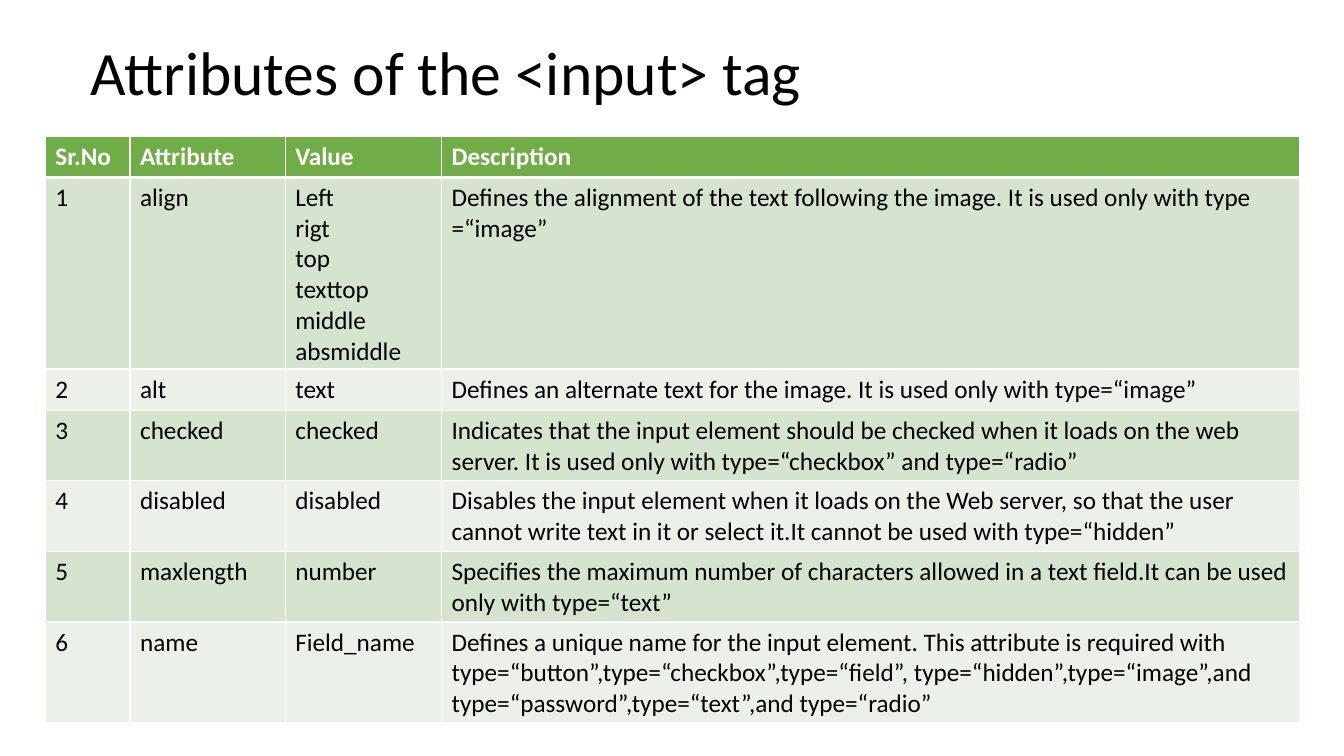
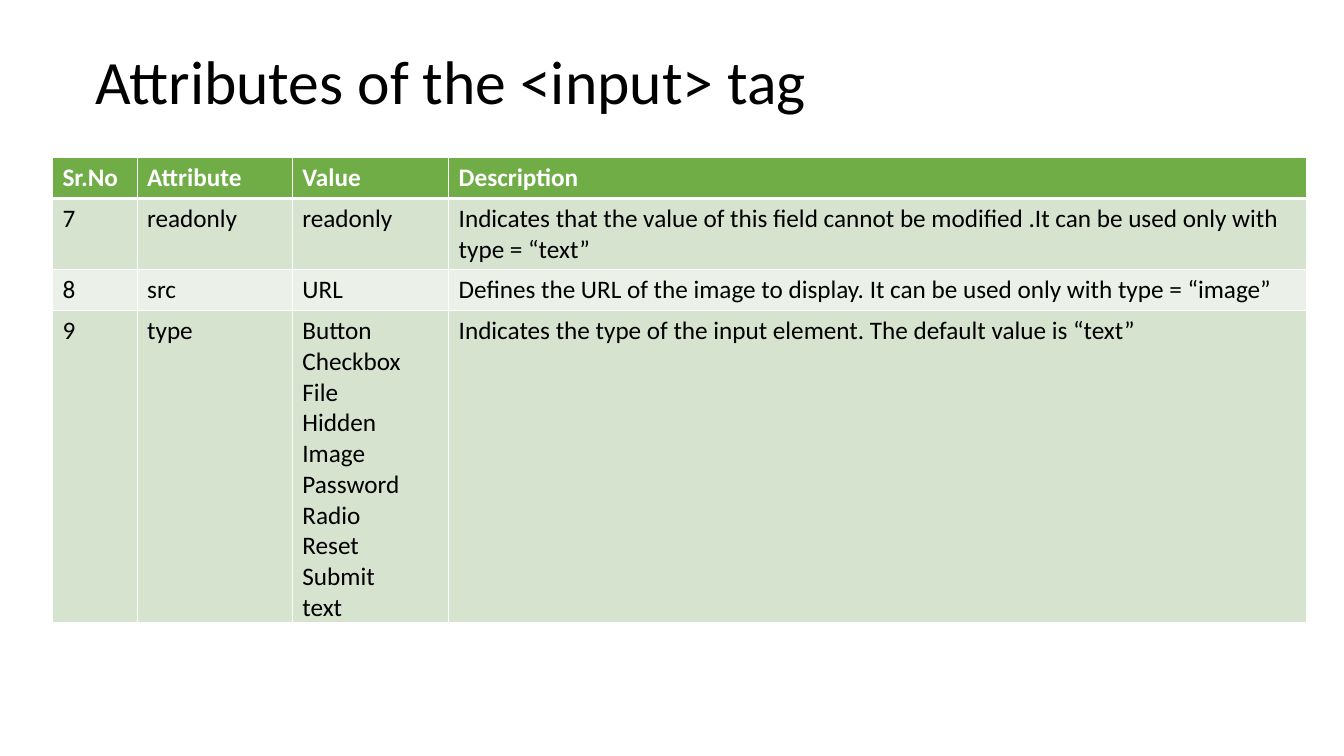
"""Build two slides listing the attributes of the HTML input tag."""
import dataclasses
import typing

import lxml.etree
import pptx
import pptx.dml.color
import pptx.enum.text
import pptx.oxml.ns
import pptx.slide
import pptx.table
import pptx.text.text
import pptx.util

Inches = pptx.util.Inches
Color = pptx.dml.color.RGBColor


@dataclasses.dataclass(frozen=True)
class Theme:
    font: str = "Calibri"
    title_size: int = 44
    table_size: int = 18
    ink: str = "000000"
    paper: str = "FFFFFF"
    header: str = "70AD47"
    bands: tuple[str, str] = ("D5E3CF", "EBF1E9")
    thin_line: int = 1
    thick_line: int = 3


@dataclasses.dataclass(frozen=True)
class Attribute:
    number: str
    name: str
    values: str
    description: str


@dataclasses.dataclass(frozen=True)
class Page:
    title_at: tuple[float, float]
    table_at: tuple[float, float]
    attributes: tuple[Attribute, ...]


THEME = Theme()
TITLE = "Attributes of the <input> tag"
TITLE_SIZE = (11.5, 0.88)
COLUMN_WIDTHS = (0.84, 1.54, 1.55, 8.51)
ROW_HEIGHT = 0.41
HEADINGS = Attribute("Sr.No", "Attribute", "Value", "Description")

PAGES = (
    Page((0.8, 0.31), (0.45, 1.35), (
        Attribute("1", "align", "Left\nrigt\ntop\ntexttop\nmiddle\nabsmiddle",
                  "Defines the alignment of the text following the image. "
                  "It is used only with type =“image”"),
        Attribute("2", "alt", "text",
                  "Defines an alternate text for the image. "
                  "It is used only with type=“image”"),
        Attribute("3", "checked", "checked",
                  "Indicates that the input element should be checked when it loads "
                  "on the web server. It is used only with type=“checkbox” and type=“radio”"),
        Attribute("4", "disabled", "disabled",
                  "Disables the input element when it loads on the Web server, so that "
                  "the user cannot write text in it or select it."
                  "It cannot be used with type=“hidden”"),
        Attribute("5", "maxlength", "number",
                  "Specifies the maximum number of characters allowed in a text field."
                  "It can be used only with type=“text”"),
        Attribute("6", "name", "Field_name",
                  "Defines a unique name for the input element. This attribute is "
                  "required with type=“button”,type=“checkbox”,type=“field”, "
                  "type=“hidden”,type=“image”,and type=“password”,type=“text”,"
                  "and type=“radio”"),
    )),
    Page((0.85, 0.4), (0.52, 1.56), (
        Attribute("7", "readonly", "readonly",
                  "Indicates that the value of this field cannot be modified ."
                  "It can be used only with type = “text”"),
        Attribute("8", "src", "URL",
                  "Defines the URL of the image to display. "
                  "It can be used only with type = “image”"),
        Attribute("9", "type",
                  "Button\nCheckbox\nFile\nHidden\nImage\n"
                  "Password\nRadio\nReset\nSubmit\ntext",
                  "Indicates the type of the input element. The default value is “text”"),
    )),
)


def write_text(frame: pptx.text.text.TextFrame, text: str, size: int,
               color: str, bold: bool = False) -> None:
    frame.text = text
    formats: dict[str, typing.Any] = {
        "name": THEME.font, "size": pptx.util.Pt(size), "bold": bold}
    for para in frame.paragraphs:
        for span in para.runs:
            for key, value in formats.items():
                setattr(span.font, key, value)
            span.font.color.rgb = Color.from_string(color)


def add_title(page: pptx.slide.Slide, position: tuple[float, float]) -> None:
    box = page.shapes.add_textbox(*map(Inches, position + TITLE_SIZE))
    frame = box.text_frame
    formats = {"word_wrap": True, "vertical_anchor": pptx.enum.text.MSO_ANCHOR.MIDDLE}
    for key, value in formats.items():
        setattr(frame, key, value)
    write_text(frame, TITLE, THEME.title_size, THEME.ink)
    frame.paragraphs[0].line_spacing = 0.9


def add_borders(cell: pptx.table._Cell, row: int) -> None:
    properties = cell._tc.get_or_add_tcPr()
    widths = dict.fromkeys(("lnL", "lnR", "lnT", "lnB"), THEME.thin_line)
    if row < 2:
        widths["lnB" if row == 0 else "lnT"] = THEME.thick_line
    qualify = pptx.oxml.ns.qn
    for edge, width in widths.items():
        line = lxml.etree.SubElement(properties, qualify(f"a:{edge}"),
                                     w=str(pptx.util.Pt(width)))
        fill = lxml.etree.SubElement(line, qualify("a:solidFill"))
        lxml.etree.SubElement(fill, qualify("a:srgbClr"), val=THEME.paper)


def add_attribute_table(page: pptx.slide.Slide, position: tuple[float, float],
                        attributes: tuple[Attribute, ...]) -> None:
    records = (HEADINGS, *attributes)
    size = (sum(COLUMN_WIDTHS), ROW_HEIGHT * len(records))
    table = page.shapes.add_table(len(records), len(COLUMN_WIDTHS),
                                  *map(Inches, position + size)).table
    for column, width in zip(table.columns, COLUMN_WIDTHS):
        column.width = Inches(width)
    for row, record in enumerate(records):
        table.rows[row].height = Inches(ROW_HEIGHT)
        is_header = row == 0
        background = THEME.header if is_header else THEME.bands[(row - 1) % 2]
        color = THEME.paper if is_header else THEME.ink
        for cell, text in zip(table.rows[row].cells, dataclasses.astuple(record)):
            write_text(cell.text_frame, text, THEME.table_size, color, is_header)
            add_borders(cell, row)
            cell.fill.solid()
            cell.fill.fore_color.rgb = Color.from_string(background)


def main() -> None:
    deck = pptx.Presentation()
    deck.slide_width, deck.slide_height = Inches(13.33), Inches(7.5)
    blank = deck.slide_layouts[6]
    for content in PAGES:
        page = deck.slides.add_slide(blank)
        add_title(page, content.title_at)
        add_attribute_table(page, content.table_at, content.attributes)
    deck.save("out.pptx")


if __name__ == "__main__":
    main()
